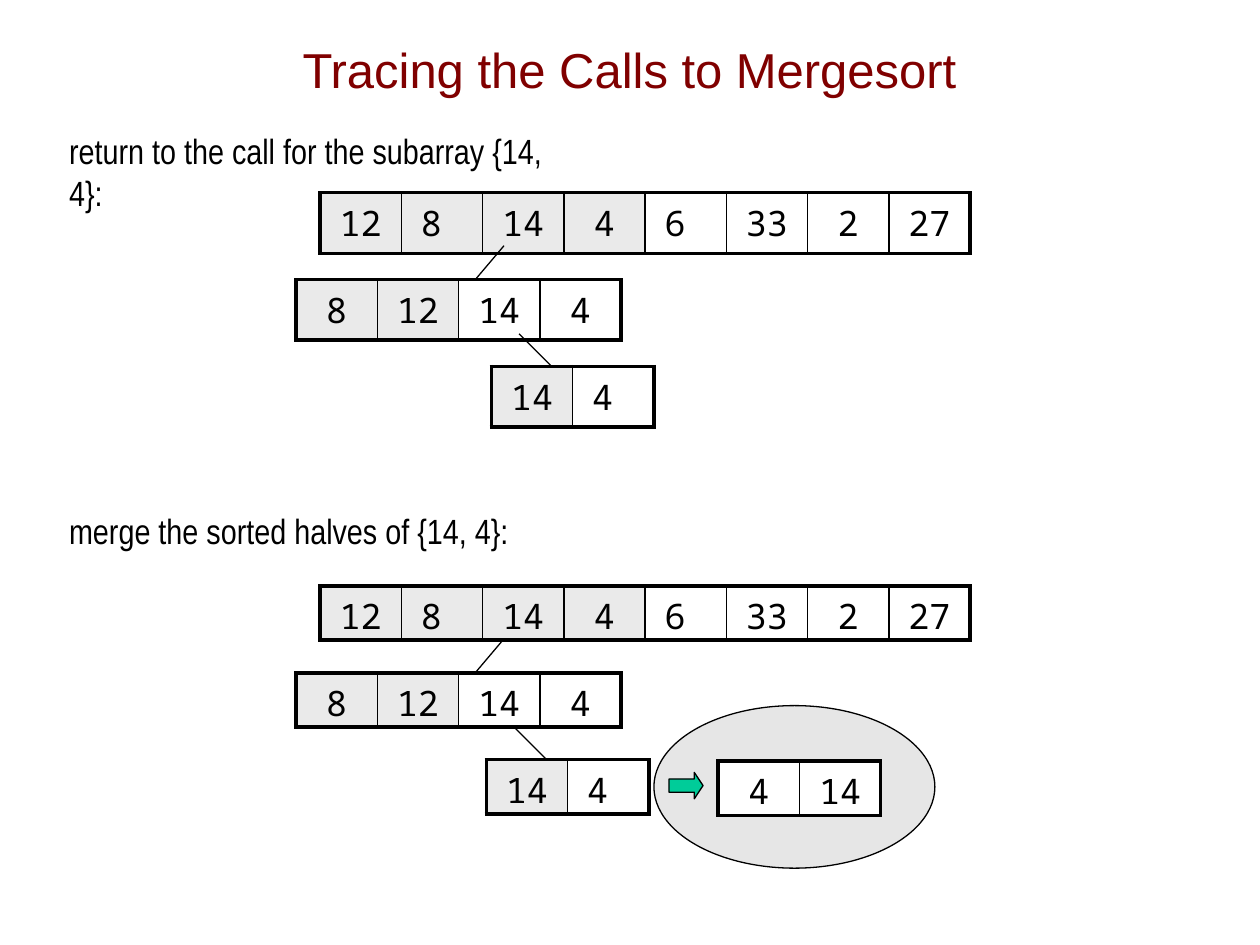
from lxml import etree
from pptx import Presentation
from pptx.dml.color import RGBColor
from pptx.enum.shapes import MSO_CONNECTOR, MSO_SHAPE
from pptx.enum.text import MSO_ANCHOR, PP_ALIGN
from pptx.oxml import parse_xml
from pptx.oxml.ns import nsdecls, qn
from pptx.util import Inches, Pt

CELL = 1.29 / 2
BLACK = "000000"


def rgb(value):
    return RGBColor.from_string(value)


class TraceSlide:
    """Draws the parts of an array trace on one slide in one style."""

    def __init__(self, prs):
        self.s = prs.slides.add_slide(prs.slide_layouts[5])
        self.shapes = self.s.shapes

    def format(self, p, font, size=20, color=BLACK, align=None):
        p.alignment = align
        p.font.name = font
        p.font.size = Pt(size)
        p.font.color.rgb = rgb(color)

    def place(self, sp, x, y, w, h):
        sp.left, sp.top, sp.width, sp.height = map(Inches, (x, y, w, h))

    def title(self, text):
        sp = self.shapes.title
        self.place(sp, 0.75, 0.08, 8.49, 0.93)
        tf = sp.text_frame
        tf.text = text
        tf.vertical_anchor = MSO_ANCHOR.MIDDLE
        self.format(tf.paragraphs[0], "Arial", 28, "800000", PP_ALIGN.CENTER)

    def label(self, text, x, y, w, h, spacing=1.0):
        tf = self.shapes.add_textbox(*map(Inches, (x, y, w, h))).text_frame
        tf.word_wrap = True
        p = tf.paragraphs[0]
        p.text = text
        p.line_spacing = spacing
        self.format(p, "Arial Narrow")

    def shape(self, kind, x, y, w, h, fill):
        sp = self.shapes.add_shape(kind, *map(Inches, (x, y, w, h)))
        sp.shadow.inherit = False
        sp.fill.solid()
        sp.fill.fore_color.rgb = rgb(fill)
        sp.line.color.rgb = rgb(BLACK)
        sp.line.width = Pt(0.75)
        return sp

    def line(self, *ends):
        cx = self.shapes.add_connector(MSO_CONNECTOR.STRAIGHT, *map(Inches, ends))
        cx.line.color.rgb = rgb(BLACK)
        cx.line.width = Pt(0.75)
        etree.SubElement(cx._element.spPr, qn("a:effectLst"))

    def border(self, cell, side, width):
        cell._tc.get_or_add_tcPr().append(parse_xml(
            f'<a:ln{side} {nsdecls("a")} w="{Pt(width)}"><a:solidFill>'
            f'<a:srgbClr val="{BLACK}"/></a:solidFill></a:ln{side}>'))

    def array(self, values, x, y, shaded=0, height=0.43):
        n = len(values)
        frame = self.shapes.add_table(1, n, *map(Inches, (x, y, n * CELL, height)))
        table = frame.table
        table.first_row = table.horz_banding = False
        table.rows[0].height = Inches(height)
        for i, value in enumerate(values):
            table.columns[i].width = Inches(CELL)
            cell = table.cell(0, i)
            cell.margin_left = cell.margin_right = Inches(0.1)
            cell.margin_top = Inches(0.05)
            cell.margin_bottom = Inches(height - 0.43)
            self.border(cell, "L", 2.25 if i == 0 else 1)
            self.border(cell, "R", 2.25 if i == n - 1 else 1)
            self.border(cell, "T", 2.25)
            self.border(cell, "B", 2.25)
            cell.fill.solid()
            cell.fill.fore_color.rgb = rgb("EAEAEA" if i < shaded else "FFFFFF")
            p = cell.text_frame.paragraphs[0]
            p.text = value
            self.format(p, "Noto Sans Mono", align=PP_ALIGN.CENTER)


def main():
    prs = Presentation()
    prs.slide_width, prs.slide_height = Inches(10), Inches(7.5)
    trace = TraceSlide(prs)
    trace.title("Tracing the Calls to Mergesort")
    trace.label("return to the call for the subarray {14, 4}:", 0.45, 0.98, 4.27, 0.43)
    trace.label("merge the sorted halves of {14, 4}:", 0.45, 4.03, 3.74, 0.4, 0.9)
    trace.shape(MSO_SHAPE.OVAL, 5.19, 5.6, 2.23, 1.29, "E6E6E6")

    whole = ["12", "8 ", "14", "4", "6 ", "33", "2", "27"]
    half = ["8", "12 ", "14", "4"]
    quarter = ["14", "4 "]
    for top, quarter_x, height in ((1.53, 3.9, 0.48), (4.65, 3.86, 0.43)):
        trace.array(whole, 2.54, top, 4, height)
        trace.array(half, 2.35, top + 0.69, 2, height)
        trace.array(quarter, quarter_x, top + 1.38, 1, height)
        trace.line(4, top + 0.42, 3.78, top + 0.68)
        trace.line(quarter_x + 0.22, top + 1.12, quarter_x + 0.48, top + 1.38)

    trace.array(["4", "14 "], 5.7, 6.04)
    arrow = trace.shape(MSO_SHAPE.RIGHT_ARROW, 5.31, 6.13, 0.27, 0.21, "00CC99")
    arrow.adjustments[1] = 0.33
    prs.save("out.pptx")


if __name__ == "__main__":
    main()
